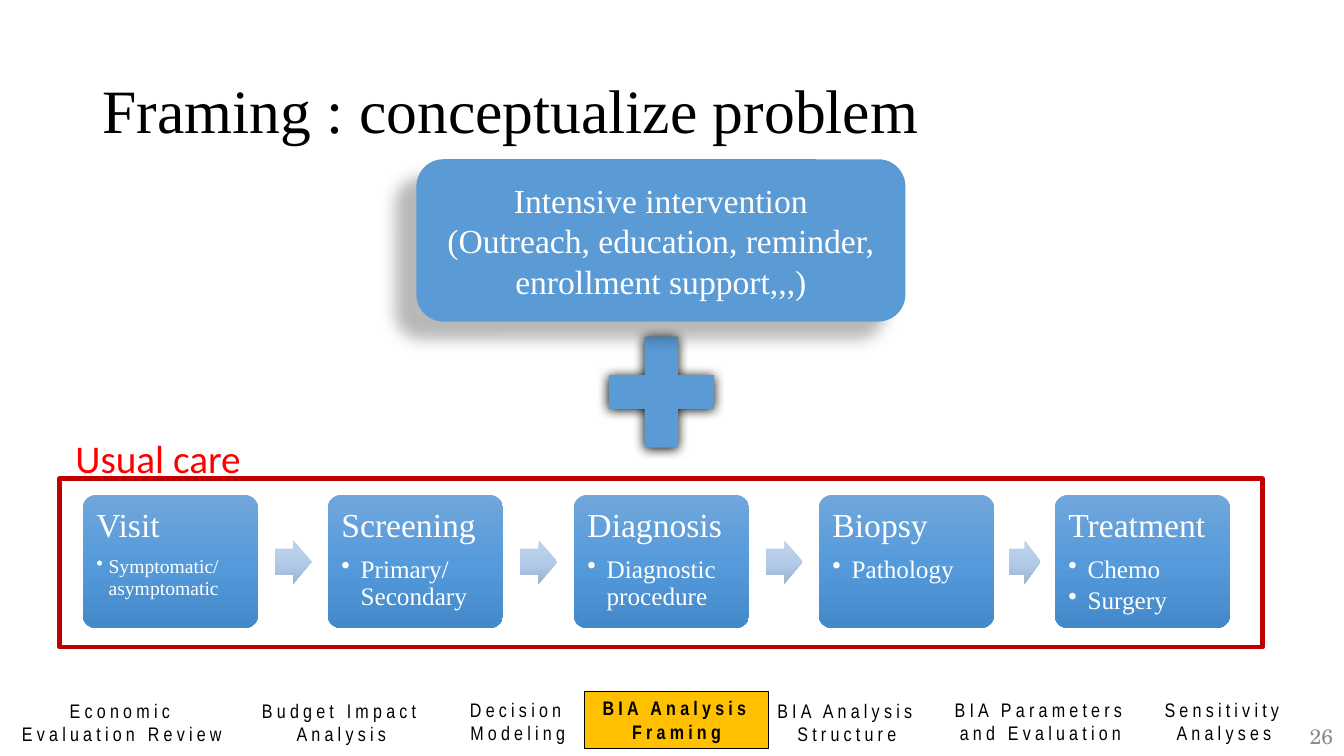
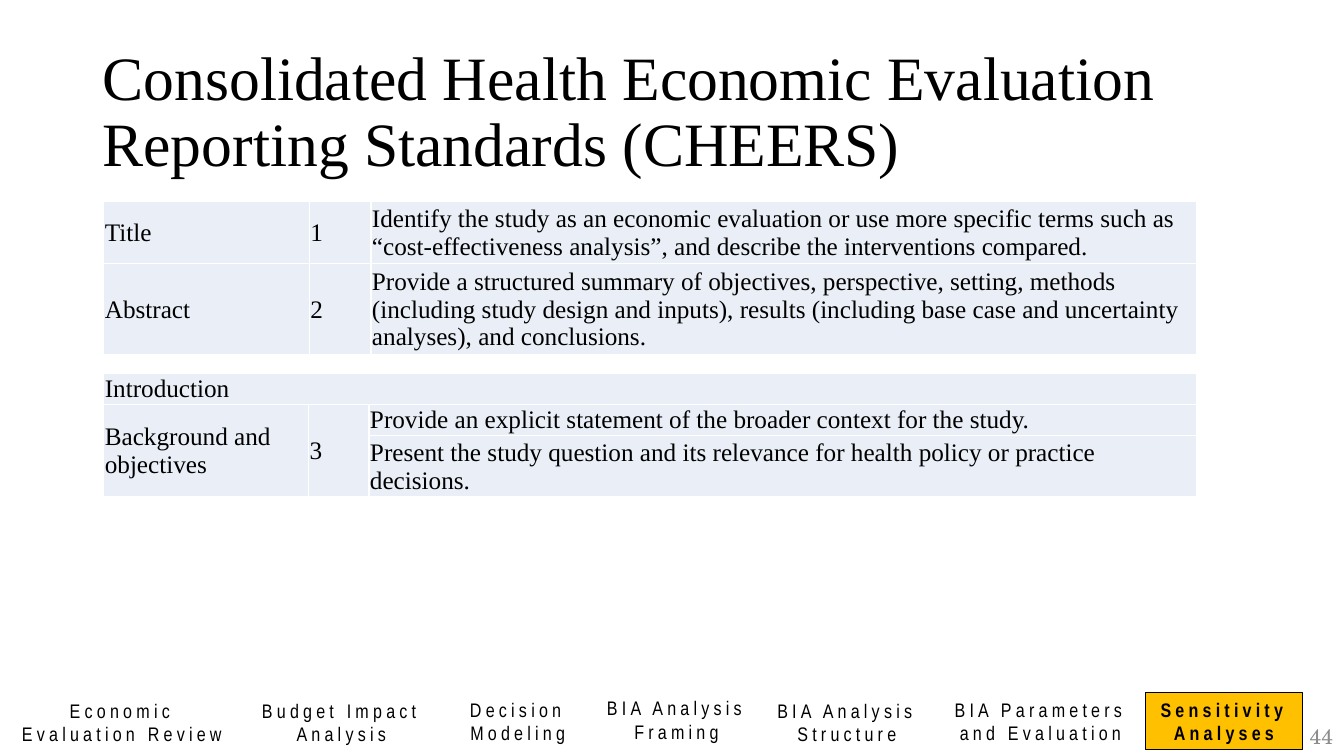
from pptx import Presentation
from pptx.dml.color import RGBColor
from pptx.enum.shapes import MSO_SHAPE
from pptx.enum.text import MSO_ANCHOR, PP_ALIGN
from pptx.oxml.ns import qn
from pptx.util import Inches, Pt
from lxml.etree import SubElement

COLORS = {
    "black": "000000", "white": "FFFFFF", "gray": "8C8C8C", "blue": "5B9BD5",
    "red": "FF0000", "dark_red": "C00000", "amber": "FFC000", "cell": "EAEFF7",
}
CARD_GRADIENT = [(0, "71A6DB"), (50, "559BDB"), (100, "448ACA")]
ARROW_GRADIENT = [(0, "C0D2EB"), (50, "B3CBE9"), (100, "9BB4D3")]

# Text styles: font values, colour and paragraph values
SERIF = "Times New Roman"
STYLES = {
    "title": {"font": {"name": SERIF, "size": Pt(44)}, "paragraph": {"line_spacing": 0.9}},
    "heading": {"font": {"name": SERIF, "size": Pt(24)}, "color": "white",
                "paragraph": {"line_spacing": 0.9, "space_after": Pt(8.4)}},
    "intervention": {"font": {"name": SERIF, "size": Pt(24)}, "color": "white",
                     "paragraph": {"alignment": PP_ALIGN.CENTER}},
    "label": {"font": {"name": "Calibri", "size": Pt(28)}, "color": "red",
              "paragraph": {"line_spacing": 0.9, "space_before": Pt(10)}},
    "tab": {"font": {"name": "Arial Narrow", "size": Pt(14), "bold": False},
            "paragraph": {"alignment": PP_ALIGN.CENTER}, "spacing": 3},
    "active_tab": {"font": {"name": "Arial Narrow", "size": Pt(14), "bold": True},
                   "paragraph": {"alignment": PP_ALIGN.CENTER}, "spacing": 3},
    "number": {"font": {"name": "TeX Gyre Schola", "size": Pt(15)}, "color": "gray",
               "paragraph": {"alignment": PP_ALIGN.RIGHT}},
    "cell": {"font": {"name": SERIF, "size": Pt(18)}},
}

# Footer tabs: text, left, top, width
TABS = [
    ("Economic Evaluation Review", 0.01, 6.88, 2.4),
    ("Budget Impact Analysis", 2.41, 6.88, 1.95),
    ("Decision Modeling", 4.42, 6.87, 1.43),
    ("BIA Analysis Framing", 5.8, 6.86, 1.82),
    ("BIA Analysis Structure", 7.5, 6.88, 1.8),
    ("BIA Parameters and Evaluation", 9.28, 6.87, 2.08),
    ("Sensitivity Analyses", 11.36, 6.87, 1.56),
]

# Care steps: left, heading, bullets, bullet size, bullet indent
STEPS = [
    (0.82, "Visit", ["Symptomatic/asymptomatic"], 14, 0.12),
    (3.25, "Screening", ["Primary/Secondary"], 18, 0.19),
    (5.69, "Diagnosis", ["Diagnostic procedure"], 18, 0.19),
    (8.12, "Biopsy", ["Pathology"], 18, 0.19),
    (10.46, "Treatment", ["Chemo", "Surgery"], 18, 0.19),
]
STEP_WIDTH = 1.74

CHEERS_SUMMARY = [
    ["Title", "1", "Identify the study as an economic evaluation or use more specific "
     "terms such as “cost-effectiveness analysis”, and describe the interventions compared."],
    ["Abstract", "2", "Provide a structured summary of objectives, perspective, setting, "
     "methods (including study design and inputs), results (including base case and "
     "uncertainty analyses), and conclusions."],
]
CHEERS_INTRODUCTION = [
    ["Introduction", None, None],
    ["Background and objectives", "3",
     "Provide an explicit statement of the broader context for the study."],
    [None, None, "Present the study question and its relevance for health policy or "
     "practice decisions."],
]


def rgb(name):
    return RGBColor.from_string(COLORS[name])


def set_values(target, values):
    for name, value in values.items():
        setattr(target, name, value)


def box(*lengths):
    return [Inches(length) for length in lengths]


def write(paragraph, text, style):
    set_values(paragraph, style.get("paragraph", {}))
    run = paragraph.add_run()
    run.text = text
    set_values(run.font, style["font"])
    run.font.color.rgb = rgb(style.get("color", "black"))
    if "spacing" in style:
        run.font._element.set("spc", str(style["spacing"] * 100))


def add_bullet(frame, text, size, indent):
    paragraph = frame.add_paragraph()
    write(paragraph, text, {
        "font": {"name": SERIF, "size": Pt(size)}, "color": "white",
        "paragraph": {"line_spacing": 0.9, "space_after": Pt(size * 0.15)}})
    properties = paragraph._p.get_or_add_pPr()
    properties.set("marL", str(Inches(indent)))
    properties.set("indent", str(-Inches(indent)))
    SubElement(properties, qn("a:buChar")).set("char", "•")


def add_text(slide, place, text, style, anchor=MSO_ANCHOR.TOP):
    frame = slide.shapes.add_textbox(*box(*place)).text_frame
    set_values(frame, {"word_wrap": True, "vertical_anchor": anchor})
    write(frame.paragraphs[0], text, STYLES[style])


def add_shape(slide, kind, place, fill=None, line=None, line_width=0.75):
    shape = slide.shapes.add_shape(kind, *box(*place))
    shape.shadow.inherit = False
    if fill:
        shape.fill.solid()
        shape.fill.fore_color.rgb = rgb(fill)
    else:
        shape.fill.background()
    if line:
        shape.line.color.rgb = rgb(line)
        shape.line.width = Pt(line_width)
    else:
        shape.line.fill.background()
    return shape


def set_gradient(shape, stops):
    shape.fill.gradient()
    shape.fill.gradient_angle = 270
    stop_list = next(shape._element.spPr.iter(qn("a:gsLst")))
    for stop in list(stop_list):
        stop_list.remove(stop)
    for position, color in stops:
        stop = SubElement(stop_list, qn("a:gs"), pos=str(position * 1000))
        SubElement(stop, qn("a:srgbClr"), val=color)


def set_shadow(shape, opacity, blur, distance, angle):
    effects = shape._element.spPr.find(qn("a:effectLst"))
    shadow = SubElement(effects, qn("a:outerShdw"), blurRad=str(Pt(blur)),
                        dist=str(Pt(distance)), dir=str(angle * 60000),
                        algn="ctr", rotWithShape="0")
    color = SubElement(shadow, qn("a:srgbClr"), val=COLORS["black"])
    SubElement(color, qn("a:alpha"), val=str(opacity * 1000))


def add_step(slide, left, heading, bullets, size, indent):
    card = add_shape(slide, MSO_SHAPE.ROUNDED_RECTANGLE, (left, 4.91, STEP_WIDTH, 1.32))
    card.adjustments[0] = 0.1
    set_gradient(card, CARD_GRADIENT)
    frame = card.text_frame
    margins = dict.fromkeys(
        ["margin_left", "margin_right", "margin_top", "margin_bottom"], Inches(0.1))
    set_values(frame, {"word_wrap": True, "vertical_anchor": MSO_ANCHOR.TOP, **margins})
    frame.paragraphs[0].alignment = PP_ALIGN.LEFT
    write(frame.paragraphs[0], heading, STYLES["heading"])
    for bullet in bullets:
        add_bullet(frame, bullet, size, indent)
        frame.paragraphs[-1].alignment = PP_ALIGN.LEFT


def add_step_arrow(slide, left, next_left):
    gap = next_left - left - STEP_WIDTH
    place = (left + STEP_WIDTH + gap * 0.24, 5.36, gap * 0.53, 0.43)
    arrow = add_shape(slide, MSO_SHAPE.RIGHT_ARROW, place)
    arrow.adjustments[0] = 0.6
    set_gradient(arrow, ARROW_GRADIENT)


def add_table(slide, top, columns, row_height, rows, merges=()):
    place = box(1.03, top, sum(columns), row_height * len(rows))
    table = slide.shapes.add_table(len(rows), len(columns), *place).table
    set_values(table, {"first_row": False, "horz_banding": False})
    for column, width in zip(table.columns, columns):
        column.width = Inches(width)
    for first, last in merges:
        table.cell(*first).merge(table.cell(*last))
    for row, texts in enumerate(rows):
        for column, text in enumerate(texts):
            cell = table.cell(row, column)
            set_values(cell, {
                "margin_left": Inches(0.01), "margin_right": Inches(0.01),
                "margin_top": Inches(0.01), "margin_bottom": 0,
                "vertical_anchor": MSO_ANCHOR.MIDDLE})
            cell.fill.solid()
            cell.fill.fore_color.rgb = rgb("cell")
            if text:
                write(cell.text_frame.paragraphs[0], text, STYLES["cell"])


def add_footer(slide, active, number):
    for text, left, top, width in TABS:
        place = (left, top, width, 0.57)
        if text == active:
            add_shape(slide, MSO_SHAPE.RECTANGLE, place, "amber", "black")
        add_text(slide, place, text, "active_tab" if text == active else "tab")
    add_text(slide, (10.32, 7.1, 3, 0.4), number, "number", MSO_ANCHOR.MIDDLE)


def add_slide(presentation, title, active, number):
    slide = presentation.slides.add_slide(presentation.slide_layouts[6])
    add_text(slide, (0.92, 0.4, 11.5, 1.45), title, "title", MSO_ANCHOR.MIDDLE)
    add_footer(slide, active, number)
    return slide


def build_framing(presentation):
    slide = add_slide(presentation, "Framing : conceptualize problem",
                      "BIA Analysis Framing", "26")
    # Usual care steps
    for step in STEPS:
        add_step(slide, *step)
    for step, following in zip(STEPS, STEPS[1:]):
        add_step_arrow(slide, step[0], following[0])
    # Intervention added to usual care
    plus = add_shape(slide, MSO_SHAPE.MATH_PLUS, (5.85, 3.14, 1.42, 1.5), "blue")
    set_shadow(plus, 100, 8.5, 1, 90)
    intervention = add_shape(slide, MSO_SHAPE.ROUNDED_RECTANGLE,
                             (4.13, 1.58, 4.85, 1.61), "blue")
    set_shadow(intervention, 28, 11.8, 19.7, 141)
    frame = intervention.text_frame
    frame.word_wrap = True
    write(frame.paragraphs[0], "Intensive intervention", STYLES["intervention"])
    write(frame.add_paragraph(), "(Outreach, education, reminder, enrollment support,,,)",
          STYLES["intervention"])
    # Frame and label of usual care
    add_shape(slide, MSO_SHAPE.RECTANGLE, (0.59, 4.75, 11.93, 1.67),
              line="dark_red", line_width=3.25)
    add_text(slide, (0.65, 4.31, 5.14, 0.61), "Usual care", "label")


def build_cheers(presentation):
    slide = add_slide(
        presentation, "Consolidated Health Economic Evaluation Reporting Standards (CHEERS)",
        "Sensitivity Analyses", "44")
    add_table(slide, 2, [2.04, 0.61, 8.19], 0.45, CHEERS_SUMMARY)
    add_table(slide, 3.7, [2.03, 0.6, 8.21], 0.24, CHEERS_INTRODUCTION,
              [((0, 0), (0, 2)), ((1, 0), (2, 0)), ((1, 1), (2, 1))])


def main():
    presentation = Presentation()
    set_values(presentation, {"slide_width": Inches(13.33), "slide_height": Inches(7.5)})
    build_framing(presentation)
    build_cheers(presentation)
    presentation.save("out.pptx")


main()
